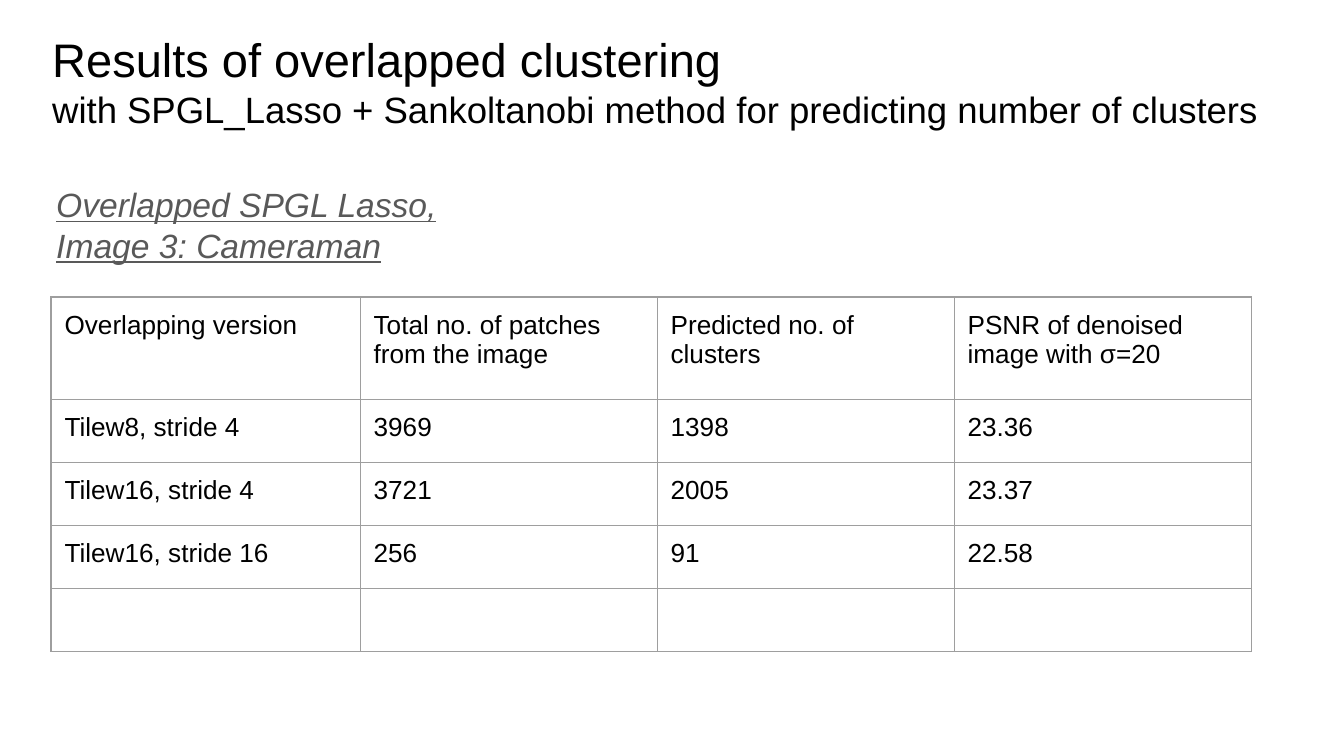
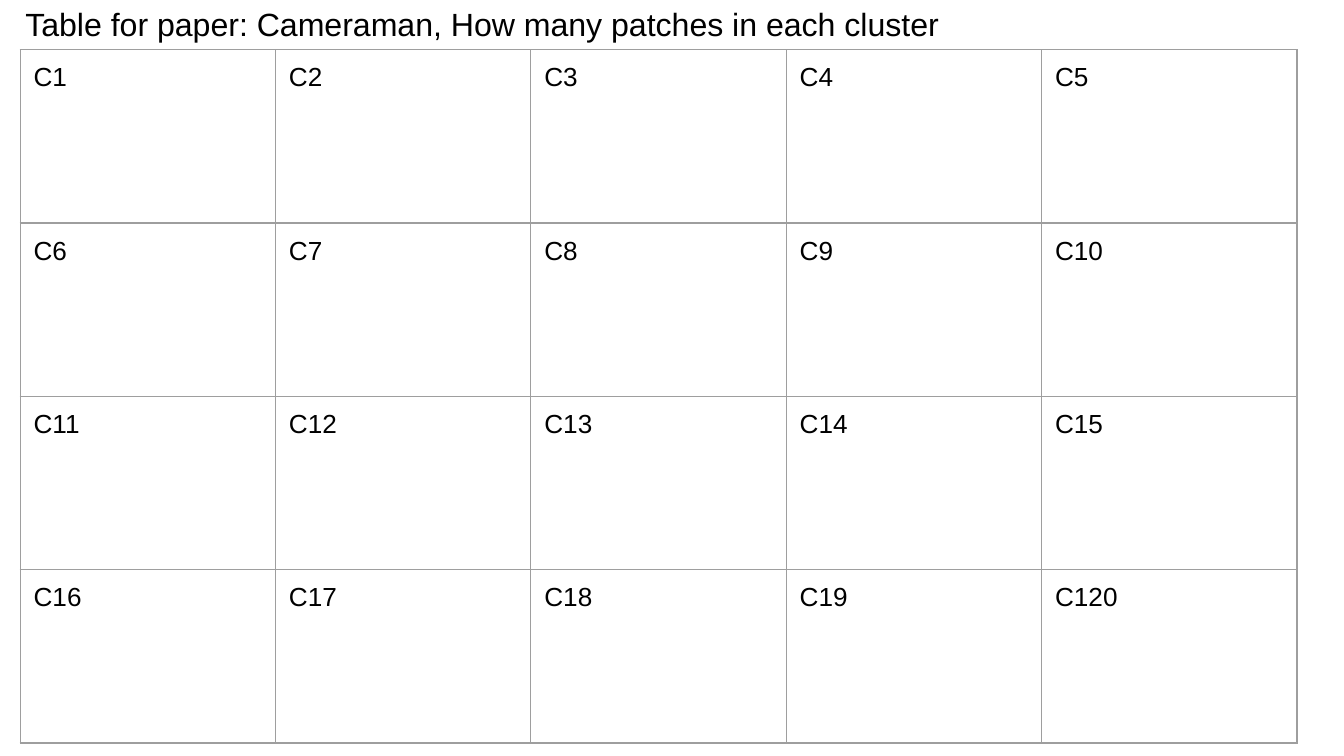
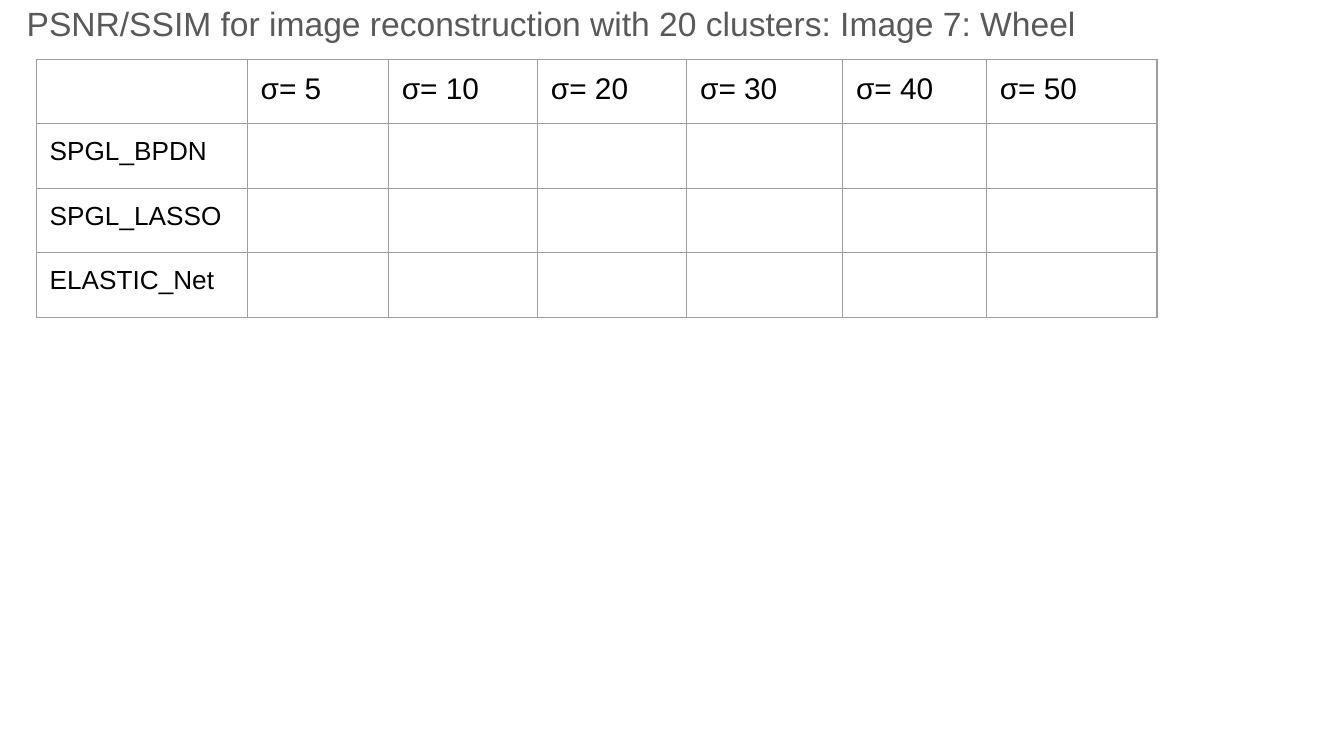
import pptx
import pptx.util
import pptx.dml.color
import pptx.oxml
import pptx.oxml.ns
import pptx.text.text
from pptx.util import Inches

BLACK = "000000"
GRAY = "595959"
EDGE = "9E9E9E"
FACE = "Arial"
PAD = Inches(0.1)


def add_text(slide, box, lines, sizes, color, fancy=None):
    frame = slide.shapes.add_textbox(*[Inches(n) for n in box]).text_frame
    frame.word_wrap = True
    frame.margin_left = frame.margin_right = PAD
    frame.margin_top = frame.margin_bottom = PAD
    frame.text = "\n".join(lines)
    for para, size in zip(frame.paragraphs, sizes):
        font = para.runs[0].font
        font.name = FACE
        font.size = pptx.util.Pt(size)
        font.color.rgb = pptx.dml.color.RGBColor.from_string(color)
        font.italic = font.underline = fancy


def add_grid(slide, left, top, cols, rows, texts, head=14):
    shape = slide.shapes.add_table(
        len(rows), len(cols), Inches(left), Inches(top),
        Inches(sum(cols)), Inches(sum(rows)))
    table = shape.table
    table.first_row = table.horz_banding = False
    for col, width in zip(table.columns, cols):
        col.width = Inches(width)
    for row, height, words in zip(table.rows, rows, texts):
        row.height = Inches(height)
        size = head if words is texts[0] else 14
        for cell, word in zip(row.cells, words):
            cell.margin_left = cell.margin_right = PAD
            cell.margin_top = cell.margin_bottom = PAD
            cell.fill.background()
            props = cell._tc.get_or_add_tcPr()
            for spot, side in enumerate("LRTB"):
                props.insert(spot, pptx.oxml.parse_xml(
                    f'<a:ln{side} {pptx.oxml.ns.nsdecls("a")} w="9525"><a:solidFill>'
                    f'<a:srgbClr val="{EDGE}"/></a:solidFill></a:ln{side}>'))
            para = cell.text_frame.paragraphs[0]
            if word:
                para.text = word
                font = para.runs[0].font
            else:
                font = pptx.text.text.Font(para._p.get_or_add_endParaRPr())
            font.name = FACE
            font.size = pptx.util.Pt(size)
            font.color.rgb = pptx.dml.color.RGBColor.from_string(BLACK)


deck = pptx.Presentation()
deck.slide_width = Inches(10)
deck.slide_height = Inches(10) * 9 // 16
blank = deck.slide_layouts[6]

slide = deck.slides.add_slide(blank)
add_text(slide, (0.29, 0.13, 9.32, 1.14), [
    "Results of overlapped clustering",
    "with SPGL_Lasso + Sankoltanobi method for predicting number of clusters",
], [25.2, 19.6], BLACK)
add_grid(slide, 0.38, 2.21, [2.3] + [2.21] * 3, [0.76] + [0.47] * 4, [
    ["Overlapping version", "Total no. of patches from the image",
     "Predicted no. of clusters", "PSNR of denoised image with σ=20"],
    ["Tilew8, stride 4", "3969", "1398", "23.36"],
    ["Tilew16, stride 4", "3721", "2005", "23.37"],
    ["Tilew16, stride 16", "256", "91", "22.58"],
    [""] * 4,
])
add_text(slide, (0.32, 1.27, 3.55, 0.42),
         ["Overlapped SPGL Lasso, Image 3: Cameraman"], [18], GRAY, True)

slide = deck.slides.add_slide(blank)
add_text(slide, (0.09, -0.07, 9.32, 0.44),
         ["Table for paper: Cameraman, How many patches in each cluster"], [17.2], BLACK)
names = [[f"C{row * 5 + col + 1}" for col in range(5)] for row in range(4)]
names[-1][-1] = "C120"
add_grid(slide, 0.15, 0.37, [1.9] * 5, [1.29] * 4, names)

slide = deck.slides.add_slide(blank)
add_text(slide, (0.1, -0.08, 9.42, 0.4),
         ["PSNR/SSIM for image reconstruction with 20 clusters: Image 7: Wheel"], [18], GRAY)
noise = [""] + [f"σ= {level}" for level in (5, 10, 20, 30, 40, 50)]
ways = [[way] + [""] * 6 for way in ("SPGL_BPDN", "SPGL_LASSO", "ELASTIC_Net")]
add_grid(slide, 0.27, 0.44, [1.57, 1.05, 1.11, 1.11, 1.16, 1.07, 1.27],
         [0.48] * 4, [noise] + ways, head=16)

deck.save("out.pptx")
